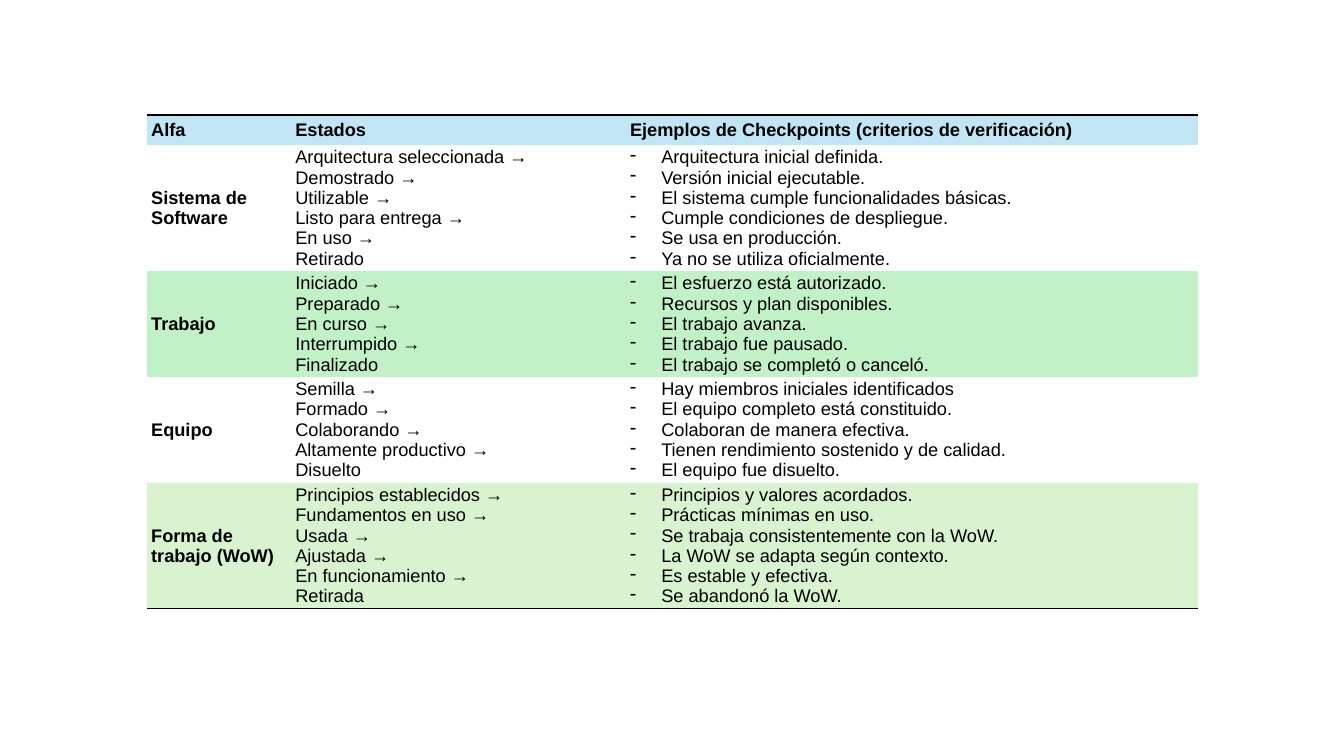
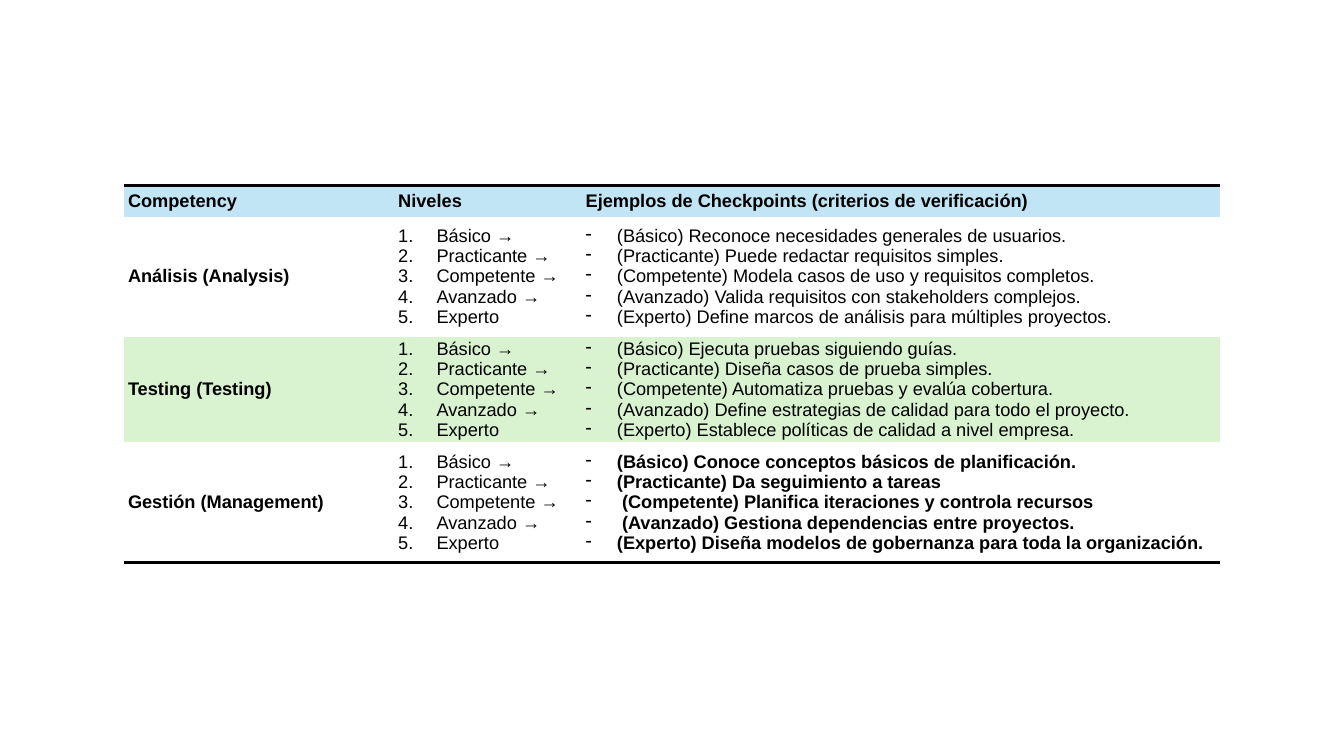
from lxml.etree import SubElement
from pptx import Presentation
from pptx.dml.color import RGBColor
from pptx.enum.text import MSO_ANCHOR
from pptx.oxml import parse_xml
from pptx.oxml.ns import nsdecls, qn
from pptx.util import Emu, Pt

# Shared style: 100 px to the inch
EMU_PER_PX = 9144
FONT = "Arial"
TEXT_SIZE = 13
BLACK = RGBColor(0x00, 0x00, 0x00)
WHITE = RGBColor(0xFF, 0xFF, 0xFF)
HEADER_BLUE = RGBColor(0xC1, 0xE5, 0xF5)
MINT = RGBColor(0xC2, 0xF1, 0xC8)
PALE_GREEN = RGBColor(0xD9, 0xF2, 0xD0)
PLAIN_TABLE_STYLE = "{2D5ABB26-0587-4C30-8999-92F81FD0307C}"

# Bullet kinds: hanging indent in px, XML tag and its attributes
DASH = (31, "a:buChar", {"char": "-"})
NUMBER = (38, "a:buAutoNum", {"type": "arabicPeriod"})

CHECKPOINTS_HEADING = "Ejemplos de Checkpoints (criterios de verificación)"
LEVELS = ["Básico", "Practicante", "Competente", "Avanzado", "Experto"]

# Rows: label, steps, checkpoints, fill, height
ALPHA_ROWS = [
    ("Sistema de Software",
     ["Arquitectura seleccionada", "Demostrado", "Utilizable",
      "Listo para entrega", "En uso", "Retirado"],
     ["Arquitectura inicial definida.",
      "Versión inicial ejecutable.",
      "El sistema cumple funcionalidades básicas.",
      "Cumple condiciones de despliegue.",
      "Se usa en producción.",
      "Ya no se utiliza oficialmente."],
     None, 125),
    ("Trabajo",
     ["Iniciado", "Preparado", "En curso", "Interrumpido", "Finalizado"],
     ["El esfuerzo está autorizado.",
      "Recursos y plan disponibles.",
      "El trabajo avanza.",
      "El trabajo fue pausado.",
      "El trabajo se completó o canceló."],
     MINT, 105),
    ("Equipo",
     ["Semilla", "Formado", "Colaborando", "Altamente productivo", "Disuelto"],
     ["Hay miembros iniciales identificados",
      "El equipo completo está constituido.",
      "Colaboran de manera efectiva.",
      "Tienen rendimiento sostenido y de calidad.",
      "El equipo fue disuelto."],
     None, 105),
    ("Forma de trabajo (WoW)",
     ["Principios establecidos", "Fundamentos en uso", "Usada", "Ajustada",
      "En funcionamiento", "Retirada"],
     ["Principios y valores acordados.",
      "Prácticas mínimas en uso.",
      "Se trabaja consistentemente con la WoW.",
      "La WoW se adapta según contexto.",
      "Es estable y efectiva.",
      "Se abandonó la WoW."],
     PALE_GREEN, 125),
]

COMPETENCY_ROWS = [
    ("Análisis (Analysis)", LEVELS,
     ["(Básico) Reconoce necesidades generales de usuarios.",
      "(Practicante) Puede redactar requisitos simples.",
      "(Competente) Modela casos de uso y requisitos completos.",
      "(Avanzado) Valida requisitos con stakeholders complejos.",
      "(Experto) Define marcos de análisis para múltiples proyectos."],
     WHITE, 119),
    ("Testing (Testing)", LEVELS,
     ["(Básico) Ejecuta pruebas siguiendo guías.",
      "(Practicante) Diseña casos de prueba simples.",
      "(Competente) Automatiza pruebas y evalúa cobertura.",
      "(Avanzado) Define estrategias de calidad para todo el proyecto.",
      "(Experto) Establece políticas de calidad a nivel empresa."],
     PALE_GREEN, 105),
    ("Gestión (Management)", LEVELS,
     ["(Básico) Conoce conceptos básicos de planificación.",
      "(Practicante) Da seguimiento a tareas",
      " (Competente) Planifica iteraciones y controla recursos",
      " (Avanzado) Gestiona dependencias entre proyectos.",
      "(Experto) Diseña modelos de gobernanza para toda la organización."],
     WHITE, 119),
]


def px(length):
    return Emu(length * EMU_PER_PX)


def add_bullet(paragraph, bullet):
    indent, tag, attributes = bullet
    properties = paragraph._p.get_or_add_pPr()
    properties.set("marL", str(px(indent)))
    properties.set("indent", str(-px(indent)))
    SubElement(properties, qn(tag), attributes)


def write_text(text_frame, lines, bold=False, bullet=None):
    for index, line in enumerate(lines):
        paragraph = text_frame.add_paragraph() if index else text_frame.paragraphs[0]
        if bullet:
            add_bullet(paragraph, bullet)
        run = paragraph.add_run()
        run.text = line
        run.font.name = FONT
        run.font.size = Pt(TEXT_SIZE)
        run.font.bold = bold
        run.font.color.rgb = BLACK


def fill_cell(cell, lines, fill=None, **text_format):
    cell.vertical_anchor = MSO_ANCHOR.MIDDLE
    cell.margin_left = cell.margin_right = px(4)
    cell.margin_top = cell.margin_bottom = px(2)
    if fill is None:
        cell.fill.background()
    else:
        cell.fill.solid()
        cell.fill.fore_color.rgb = fill
    write_text(cell.text_frame, lines, **text_format)


def add_rule(cell, side, width):
    """Draw a black border on one side; borders come before the cell fill."""
    line = parse_xml(
        f'<a:{side} {nsdecls("a")} w="{Pt(width)}"><a:solidFill>'
        f'<a:srgbClr val="{BLACK}"/></a:solidFill></a:{side}>')
    cell._tc.get_or_add_tcPr().insert(0, line)


def with_arrows(steps):
    return [f"{step} →" for step in steps[:-1]] + steps[-1:]


def add_checkpoint_table(slide, left, top, widths, headings, header_height,
                         rows, rule_width, step_bullet=None, bold_last=False):
    heights = [header_height] + [row[-1] for row in rows]
    frame = slide.shapes.add_table(
        len(heights), len(widths), px(left), px(top),
        px(sum(widths)), px(sum(heights)))
    table = frame.table
    table._tbl.tblPr.find(qn("a:tableStyleId")).text = PLAIN_TABLE_STYLE
    table.horz_banding = False
    for column, width in zip(table.columns, widths):
        column.width = px(width)
    for row, height in zip(table.rows, heights):
        row.height = px(height)

    # Header row
    for column, heading in enumerate(headings):
        fill_cell(table.cell(0, column), [heading], HEADER_BLUE, bold=True)

    # Body rows
    for index, (label, steps, checkpoints, fill, _) in enumerate(rows, start=1):
        fill_cell(table.cell(index, 0), [label], fill, bold=True)
        fill_cell(table.cell(index, 1), with_arrows(steps), fill,
                  bullet=step_bullet)
        fill_cell(table.cell(index, 2), checkpoints, fill, bullet=DASH,
                  bold=bold_last and index == len(rows))

    # Rules above and below the table
    for column in range(len(widths)):
        add_rule(table.cell(0, column), "lnT", rule_width)
        add_rule(table.cell(len(rows), column), "lnB", rule_width)


def main():
    presentation = Presentation()
    presentation.slide_width = px(1333)
    presentation.slide_height = px(750)
    blank_layout = presentation.slide_layouts[6]

    # Alphas and their states
    add_checkpoint_table(
        presentation.slides.add_slide(blank_layout), 146, 114, [143, 332, 567],
        ["Alfa", "Estados", CHECKPOINTS_HEADING], 30, ALPHA_ROWS, rule_width=1)

    # Competencies and their levels
    add_checkpoint_table(
        presentation.slides.add_slide(blank_layout), 123, 184, [268, 186, 633],
        ["Competency", "Niveles", CHECKPOINTS_HEADING], 31, COMPETENCY_ROWS,
        rule_width=2, step_bullet=NUMBER, bold_last=True)

    presentation.save("out.pptx")


if __name__ == "__main__":
    main()
